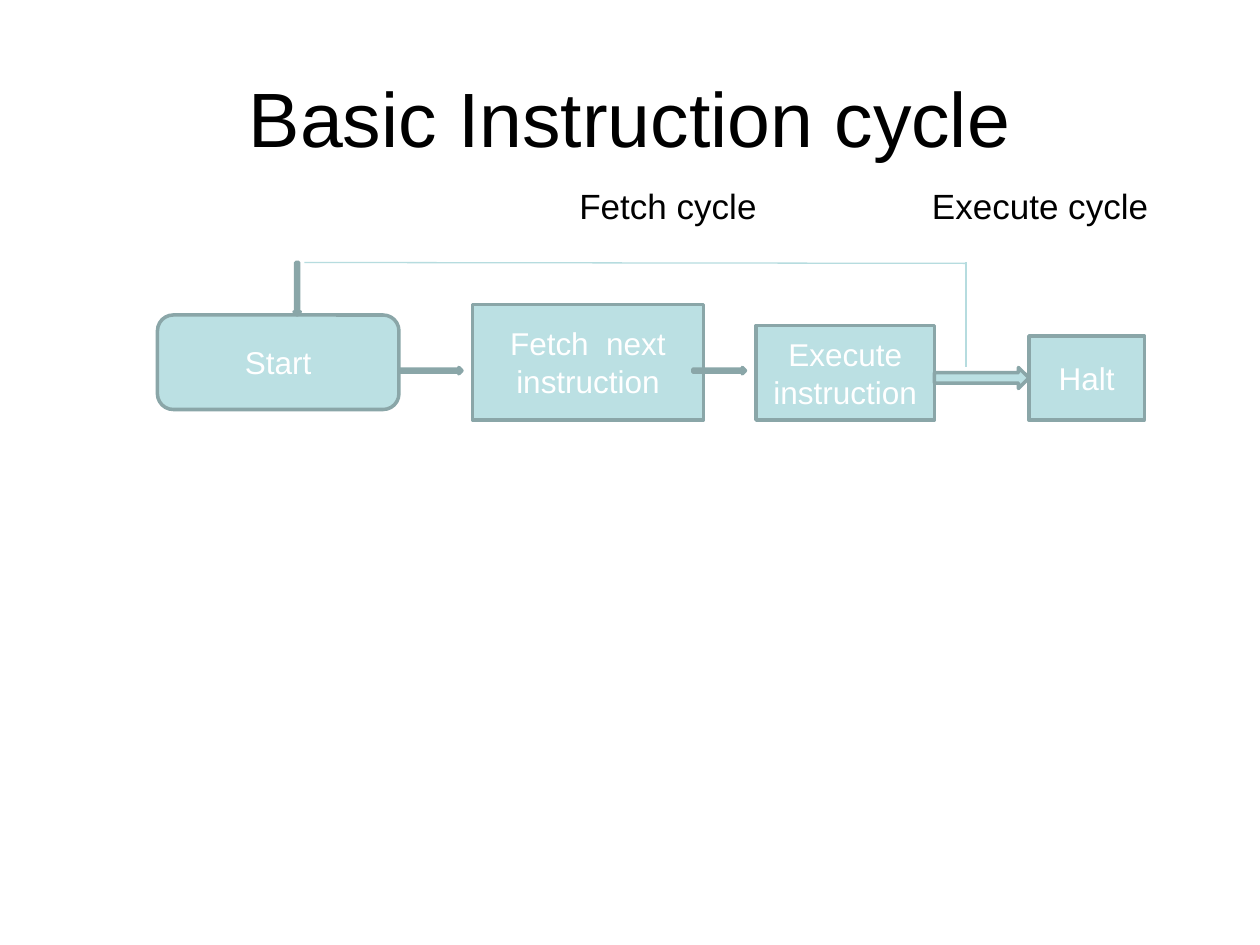
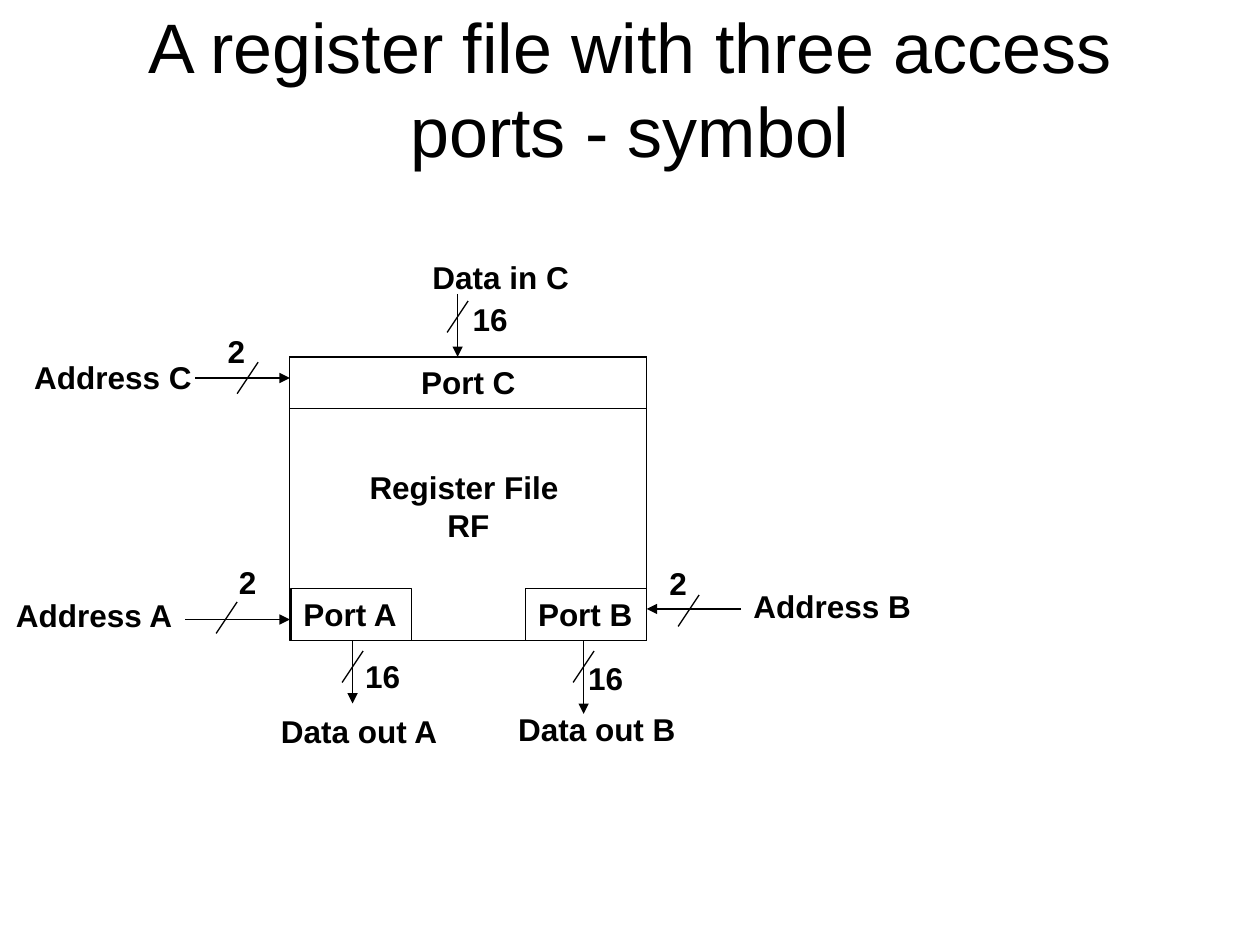
"""Build two slides: the instruction cycle and a three-port register file."""
import pptx
import pptx.util
import pptx.dml.color
import pptx.enum.shapes
import pptx.enum.text
import pptx.oxml
import pptx.oxml.ns

Pt = pptx.util.Pt
KIND = pptx.enum.shapes.MSO_SHAPE
LINK = pptx.enum.shapes.MSO_CONNECTOR.STRAIGHT
ALIGN = pptx.enum.text.PP_ALIGN
ANCHOR = pptx.enum.text.MSO_ANCHOR

INK, PAPER = "000000", "FFFFFF"
TEAL, EDGE, PALE = "BBE0E3", "8AA6A8", "B6DCDF"
THIN, THICK = 0.75, 2
WIDE, HIGH = 108, 29

CYCLE = {
    "title": ("Basic Instruction cycle", 44, (36, 21.5, 648, 90)),
    "heads": [("Fetch cycle", (324, 102, 130, 32)),
              ("Execute cycle", (525.5, 102, 150, 32))],
    "steps": [
        (KIND.ROUNDED_RECTANGLE, "Start", (90, 180, 138, 54)),
        (KIND.RIGHT_ARROW, "", (228, 210, 36, 3.6)),
        (KIND.RECTANGLE, "Fetch  next instruction", (270, 174, 132, 66)),
        (KIND.RIGHT_ARROW, "", (396, 210, 30, 3.6)),
        (KIND.RECTANGLE, "Execute instruction", (432, 186, 102, 54)),
        (KIND.RIGHT_ARROW, "", (534, 210, 54, 12)),
        (KIND.RECTANGLE, "Halt", (588, 192, 66, 48)),
        (KIND.DOWN_ARROW, "", (168, 150, 3.6, 30)),
    ],
    "loop": [(174, 150, 552, 150.5), (552, 150, 552, 210)],
}

FILE = {
    "title": ("A register file with three access ports - symbol", 40,
              (36, 22, 648, 56)),
    "frame": (165.6, 204, 204, 162),
    "ports": [("Port C", (165.6, 204, 204, 29.5), True),
              ("Port A", (166.3, 336.4, 69, 29.5), False),
              ("Port B", (300.4, 336.4, 69, 29.5), False)],
    "core": (["Register File ", "RF"], (204, 264, 127.4, 50.4)),
    "buses": [
        ("2", (129.5, 318), (106, 354, 165.6, 354), (129.5, 353)),
        ("2", (123, 186), (111.6, 216, 165.6, 216), (141.5, 216)),
        ("2", (375.5, 319), (423.5, 348, 369.6, 348), (393.5, 349)),
        ("16", (201.5, 372), (201.5, 366, 201.5, 402), (201.5, 381)),
        ("16", (329, 373), (333.5, 366, 333.5, 408), (333.5, 381)),
        ("16", (263, 168), (261.5, 168, 261.5, 204), (261.5, 181)),
    ],
    "names": [
        ("Address A", (2, 337)), ("Address B", (423.5, 332)),
        ("Address C", (12.5, 201)), ("Data out A", (153.5, 403.5)),
        ("Data out B", (289, 402)), ("Data in C", (240, 144)),
    ],
}


def tint(code):
    """Turn a hex string into a colour."""
    return pptx.dml.color.RGBColor.from_string(code)


def setall(thing, attrs):
    """Set every attribute named in a dict."""
    for key, val in attrs.items():
        setattr(thing, key, val)


def node(text):
    """Make a drawing element from its tag and attributes."""
    return pptx.oxml.parse_xml(
        "<a:%s %s/>" % (text, pptx.oxml.ns.nsdecls("a")))


def write(shape, lines, size, color=INK, bold=False, wrap=True,
          align=ALIGN.CENTER, anchor=ANCHOR.MIDDLE):
    """Put lines of text in a shape."""
    frame = shape.text_frame
    setall(frame, {"word_wrap": wrap, "vertical_anchor": anchor})
    for spot, line in enumerate(lines):
        para = frame.add_paragraph() if spot else frame.paragraphs[0]
        para.alignment = align
        run = para.add_run()
        run.text = line
        setall(run.font, {"name": "Arial", "size": Pt(size), "bold": bold})
        run.font.color.rgb = tint(color)


def label(slide, lines, area, size=18, **form):
    """Add a text box."""
    box = slide.shapes.add_textbox(*map(Pt, area))
    write(box, lines, size, **form)


def block(slide, kind, area, fill, edge, width):
    """Add a preset shape with an outline."""
    shape = slide.shapes.add_shape(kind, *map(Pt, area))
    shape.shadow.inherit = False
    if fill:
        shape.fill.solid()
        shape.fill.fore_color.rgb = tint(fill)
    else:
        shape.fill.background()
    shape.line.color.rgb = tint(edge)
    shape.line.width = Pt(width)
    return shape


def stroke(slide, ends, color=INK, head=False):
    """Draw a straight line, with an arrowhead if asked."""
    link = slide.shapes.add_connector(LINK, *map(Pt, ends))
    link.line.color.rgb = tint(color)
    link.line.width = Pt(THIN)
    props = link._element.spPr
    if head:
        props.find(pptx.oxml.ns.qn("a:ln")).append(
            node('tailEnd type="triangle"'))
    props.append(node("effectLst"))


def start(deck, title):
    """Add a blank slide with its title."""
    slide = deck.slides.add_slide(deck.slide_layouts[6])
    text, size, area = title
    label(slide, [text], area, size)
    return slide


def cycle(deck):
    """Build the instruction cycle slide."""
    slide = start(deck, CYCLE["title"])
    for text, area in CYCLE["heads"]:
        label(slide, [text], area, 20, align=ALIGN.LEFT, anchor=ANCHOR.TOP)
    for kind, text, area in CYCLE["steps"]:
        shape = block(slide, kind, area, TEAL, EDGE, THICK)
        if text:
            write(shape, [text], 18, PAPER)
    for ends in CYCLE["loop"]:
        stroke(slide, ends, PALE)


def store(deck):
    """Build the register file slide."""
    slide = start(deck, FILE["title"])
    note = {"bold": True, "wrap": False, "align": ALIGN.LEFT,
            "anchor": ANCHOR.TOP}
    for text, area, wide in FILE["ports"]:
        form = dict(note, wrap=wide,
                    align=ALIGN.CENTER if wide else ALIGN.LEFT)
        shape = block(slide, KIND.RECTANGLE, area, None, INK, THIN)
        write(shape, [text], 18, **form)
    block(slide, KIND.RECTANGLE, FILE["frame"], None, INK, THIN)
    lines, area = FILE["core"]
    label(slide, lines, area, **dict(note, align=ALIGN.CENTER))
    for bits, place, ends, (mid, row) in FILE["buses"]:
        stroke(slide, ends, head=True)
        stroke(slide, (mid + 6, row - 9, mid - 6, row + 9))
        label(slide, [bits], (*place, 14.5 + 10 * len(bits), HIGH), **note)
    for text, place in FILE["names"]:
        label(slide, [text], (*place, WIDE, HIGH), **note)


deck = pptx.Presentation()
setall(deck, {"slide_width": Pt(720), "slide_height": Pt(540)})
cycle(deck)
store(deck)
deck.save("out.pptx")
